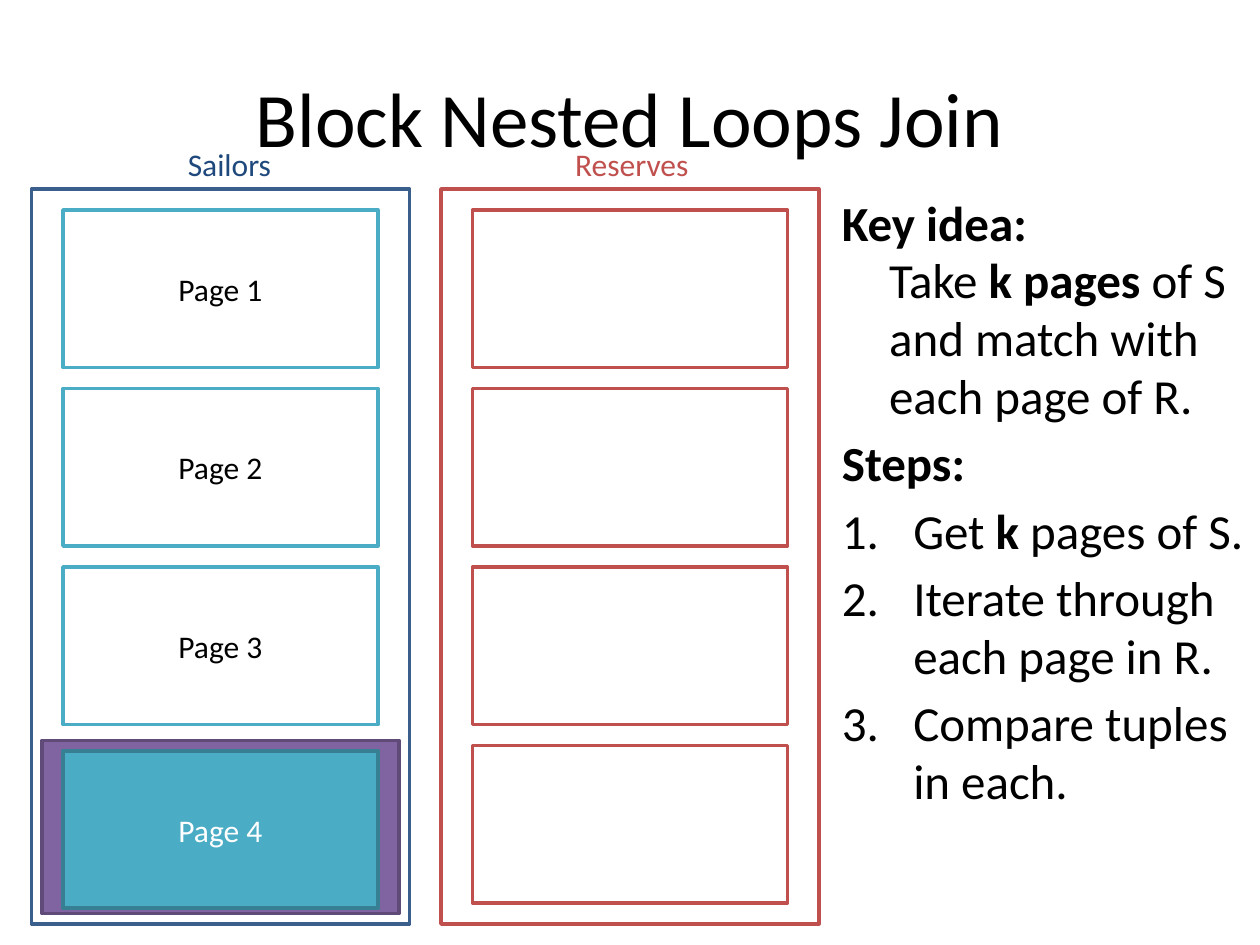
from lxml import etree
from pptx import Presentation
from pptx.dml.color import RGBColor
from pptx.enum.shapes import MSO_SHAPE
from pptx.enum.text import MSO_ANCHOR, PP_ALIGN
from pptx.oxml.ns import qn
from pptx.util import Pt

RECT = MSO_SHAPE.RECTANGLE
LEFT, CENTER = PP_ALIGN.LEFT, PP_ALIGN.CENTER
TOP, MIDDLE = MSO_ANCHOR.TOP, MSO_ANCHOR.MIDDLE
PX = 7620  # 120 px to the inch
FONT = "Calibri"

COLORS = {
    "black": "000000", "white": "FFFFFF", "navy": "1F497D", "blue": "3A5F8C",
    "aqua": "4BACC6", "teal": "377F92", "red": "C0504D",
    "purple": "8064A2", "plum": "5F4A78",
}

# Content: a run is (text, bold); None is a line break
TITLE = "Block Nested Loops Join"
PAGES = ["Page 1", "Page 2", "Page 3", "Page 4"]
LABELS = [("Sailors", 167, 104, "navy"), ("Reserves", 536, 133, "red")]
NOTES = [
    [("Key idea:", True), None, ("Take ", False), ("k pages ", True),
     ("of S and match with each page of R.", False)],
    [("Steps:", True)],
]
STEPS = [
    [("Get ", False), ("k ", True), ("pages of S.", False)],
    [("Iterate through each page in R.", False)],
    [("Compare tuples in each.", False)],
]

# Layout
COL_X, COL_GAP, COL_Y, COL_W, COL_H = 30, 390, 180, 360, 700
PAGE_W, PAGE_H, PAGE_GAP, PAD_X, PAD_Y = 300, 150, 20, 30, 20
PAGE_STEP = PAGE_H + PAGE_GAP

prs = Presentation()
prs.slide_width, prs.slide_height = 1200 * PX, 900 * PX
slide = prs.slides.add_slide(prs.slide_layouts[6])


def rgb(name):
    return RGBColor.from_string(COLORS[name])


def write(par, runs, size=18, color="black", align=LEFT):
    par.alignment = align
    for part in runs:
        if part is None:
            par.add_line_break()
            continue
        run = par.add_run()
        run.text, run.font.bold = part
        run.font.name, run.font.size = FONT, Pt(size)
        run.font.color.rgb = rgb(color)


def text_box(x, y, w, h, wrap=True, anchor=TOP):
    frame = slide.shapes.add_textbox(x * PX, y * PX, w * PX, h * PX).text_frame
    frame.word_wrap = wrap
    frame.vertical_anchor = anchor
    return frame


def add_rect(x, y, w, h, line, fill=None, text=None, color="black"):
    box = slide.shapes.add_shape(RECT, x * PX, y * PX, w * PX, h * PX)
    box.shadow.inherit = False
    if fill:
        box.fill.solid()
        box.fill.fore_color.rgb = rgb(fill)
    else:
        box.fill.background()
    box.line.color.rgb = rgb(line)
    box.line.width = Pt(2)
    if text:
        box.text_frame.vertical_anchor = MIDDLE
        write(box.text_frame.paragraphs[0], [(text, False)], color=color, align=CENTER)


def indent(par, depth, number=False):
    props = par._p.get_or_add_pPr()
    props.set("marL", str(depth * PX))
    props.set("indent", str(-depth * PX))
    if number:
        etree.SubElement(props, qn("a:buFont"), typeface="+mj-lt")
        etree.SubElement(props, qn("a:buAutoNum"), type="arabicPeriod")


# Block marker and title
add_rect(40, 705, 340, 165, "plum", "purple")
head = text_box(60, 36, 1080, 150, anchor=MIDDLE)
write(head.paragraphs[0], [(TITLE, False)], size=44, align=CENTER)

# Sailors column, with its last page loaded
add_rect(COL_X, COL_Y, COL_W, COL_H, "blue")
for i, page in enumerate(PAGES):
    y = COL_Y + PAD_Y + i * PAGE_STEP
    if i < len(PAGES) - 1:
        add_rect(COL_X + PAD_X, y, PAGE_W, PAGE_H, "aqua", "white", page)
    else:
        add_rect(COL_X + PAD_X, y + 5, PAGE_W, PAGE_H, "teal", "aqua", page, "white")

# Reserves column
res_x = COL_X + COL_GAP
add_rect(res_x, COL_Y, COL_W, COL_H, "red", "white")
for i in range(len(PAGES)):
    y = COL_Y + PAD_Y + i * PAGE_STEP
    add_rect(res_x + PAD_X, y, PAGE_W, PAGE_H, "red", "white")

# Key idea and steps
body = text_box(790, 180, 410, 594)
for i, runs in enumerate(NOTES + STEPS):
    par = body.paragraphs[0] if i == 0 else body.add_paragraph()
    step = i >= len(NOTES)
    par.space_before = Pt(5.6)
    par.line_spacing = 0.98
    indent(par, 68 if step else 45, number=step)
    write(par, runs, size=28)

# Column labels
for text, x, w, color in LABELS:
    label = text_box(x, 132, w, 48, wrap=False)
    write(label.paragraphs[0], [(text, False)], color=color)

prs.save("out.pptx")
